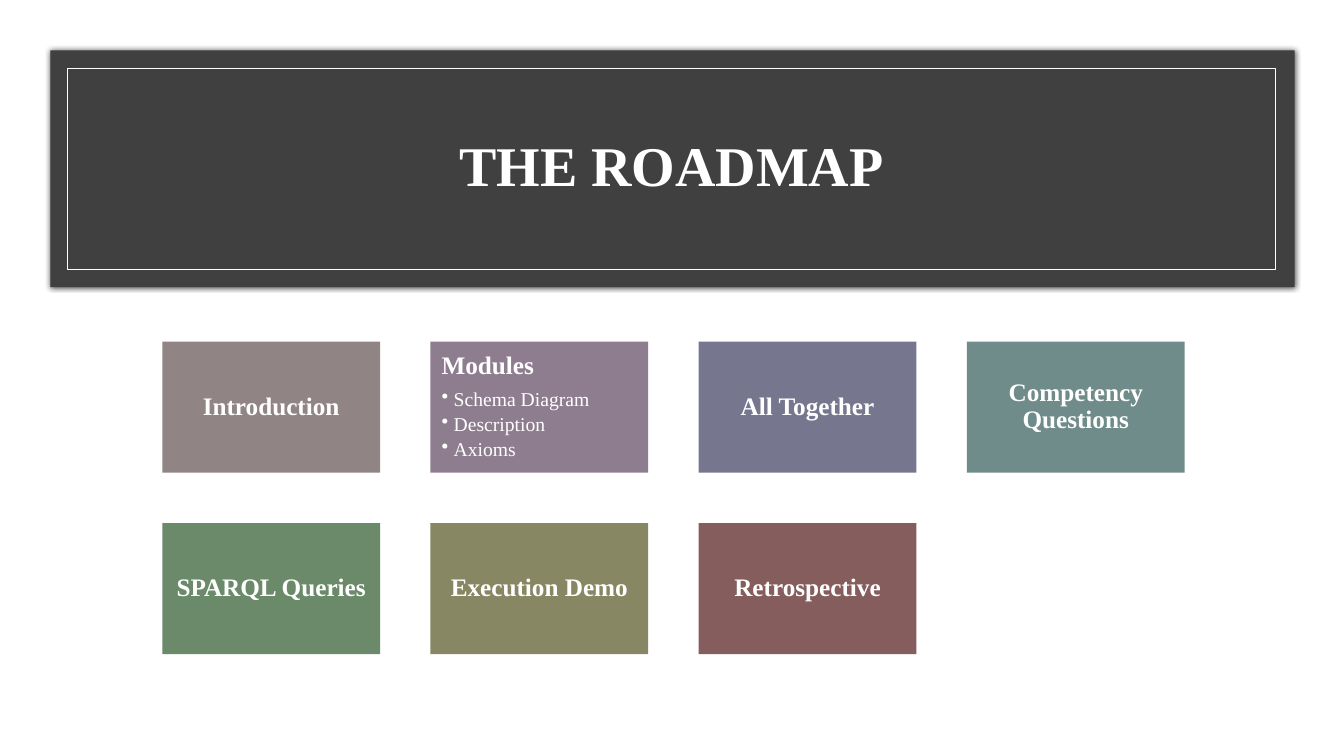
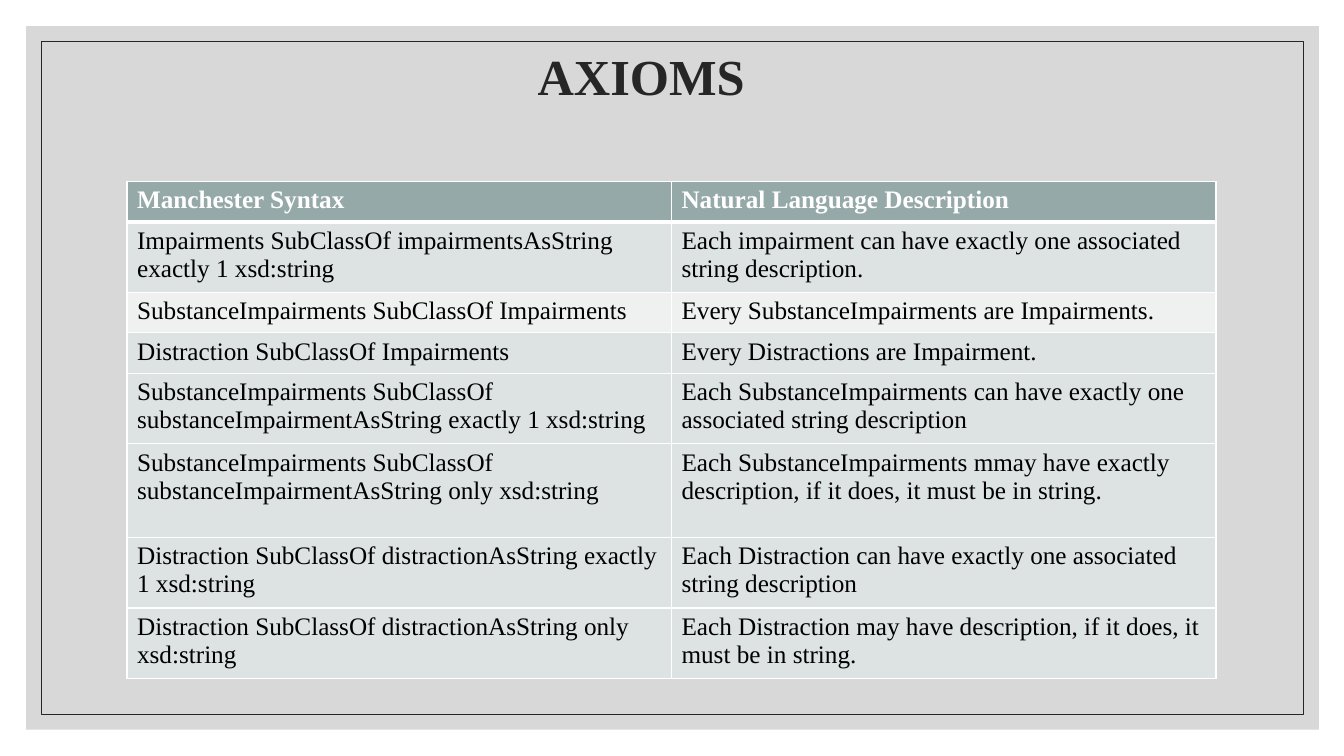
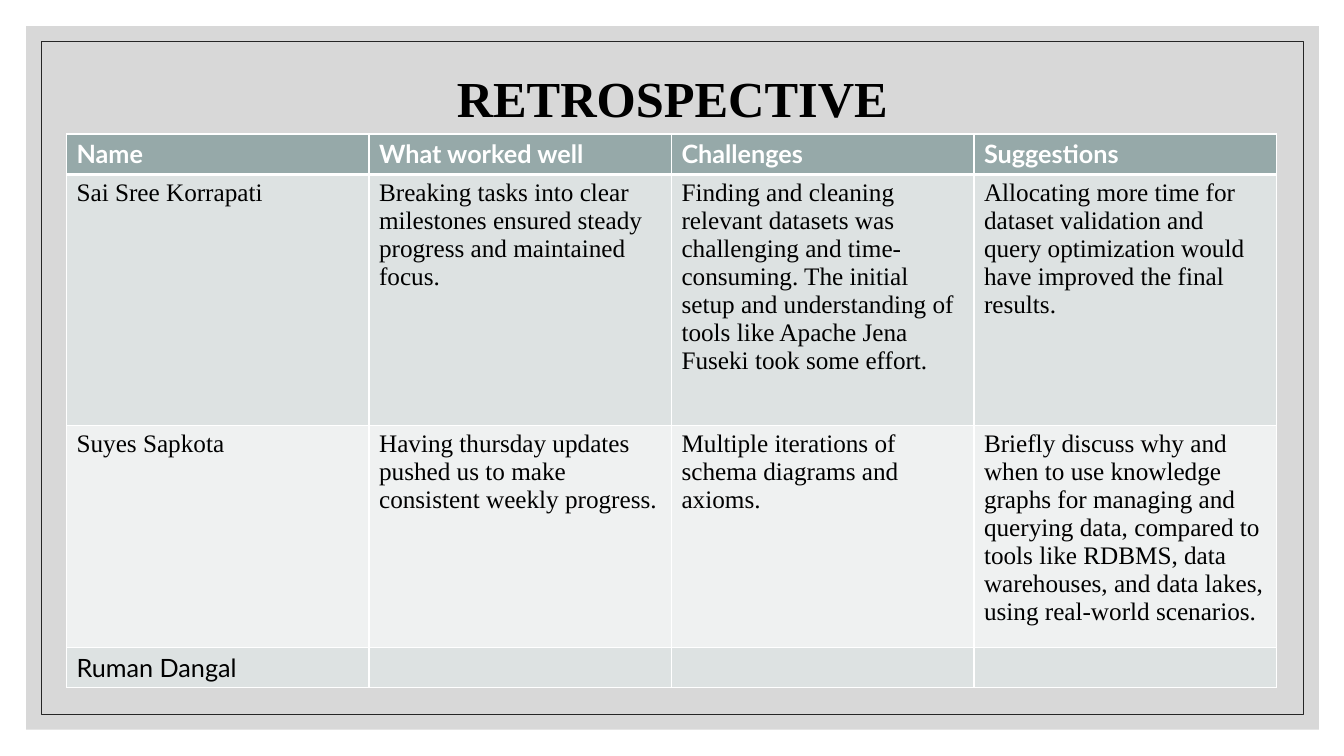
import dataclasses

import lxml.etree
import pptx
import pptx.dml.color
import pptx.enum.shapes
import pptx.enum.text
import pptx.oxml.ns
import pptx.util

EMU_PER_PX = 9144
ALIGN = pptx.enum.text.PP_ALIGN
ANCHOR = pptx.enum.text.MSO_ANCHOR


@dataclasses.dataclass(frozen=True)
class Theme:
    white: str = "FFFFFF"
    black: str = "000000"
    ink: str = "262626"
    panel: str = "404040"
    backdrop: str = "BFBFBF"
    header: str = "96A9A9"
    band: str = "DDE2E2"
    light_band: str = "EFF1F1"
    serif: str = "Times New Roman"
    sans: str = "Lato"
    hero_size: int = 40
    title_size: int = 36
    body_size: int = 18
    bullet_size: int = 14
    hairline: float = 0.5
    cell_line: float = 0.96
    header_line: float = 3


THEME = Theme()

ROADMAP = [
    ("Introduction", "918485", []),
    ("Modules", "8E7D8F", ["Schema Diagram", "Description", "Axioms"]),
    ("All Together", "76778E", []),
    ("Competency Questions", "6F8C8B", []),
    ("SPARQL Queries", "6A8A69", []),
    ("Execution Demo", "888763", []),
    ("Retrospective", "855D5D", []),
]

AXIOMS = [
    ("Manchester Syntax", "Natural Language Description"),
    ("Impairments SubClassOf impairmentsAsString exactly 1 xsd:string",
     "Each impairment can have exactly one associated string description."),
    ("SubstanceImpairments SubClassOf Impairments",
     "Every SubstanceImpairments are Impairments."),
    ("Distraction SubClassOf Impairments",
     "Every Distractions are Impairment."),
    ("SubstanceImpairments SubClassOf substanceImpairmentAsString exactly 1 xsd:string",
     "Each SubstanceImpairments can have exactly one associated string description"),
    ("SubstanceImpairments SubClassOf substanceImpairmentAsString only xsd:string",
     "Each SubstanceImpairments mmay have exactly description, if it does, it must be in string."),
    ("Distraction SubClassOf distractionAsString exactly 1 xsd:string",
     "Each Distraction can have exactly one associated string description"),
    ("Distraction SubClassOf distractionAsString only xsd:string",
     "Each Distraction may have description, if it does, it must be in string."),
]

REFLECTIONS = [
    ("Name", "What worked well", "Challenges", "Suggestions"),
    ("Sai Sree Korrapati",
     "Breaking tasks into clear milestones ensured steady progress and maintained focus.",
     "Finding and cleaning relevant datasets was challenging and time-consuming. "
     "The initial setup and understanding of tools like Apache Jena Fuseki took some effort.",
     "Allocating more time for dataset validation and query optimization "
     "would have improved the final results."),
    ("Suyes Sapkota",
     "Having thursday updates pushed us to make consistent weekly progress.",
     "Multiple iterations of schema diagrams and axioms.",
     "Briefly discuss why and when to use knowledge graphs for managing and querying data, "
     "compared to tools like RDBMS, data warehouses, and data lakes, using real-world scenarios."),
    ("Ruman Dangal", "", "", ""),
]


def px(length):
    return pptx.util.Emu(length * EMU_PER_PX)


def rgb(color):
    return pptx.dml.color.RGBColor.from_string(color)


def add_xml(parent, tag, **attributes):
    child = lxml.etree.SubElement(parent, pptx.oxml.ns.qn(tag))
    for key, value in attributes.items():
        child.set(key, str(value))
    return child


def apply_format(target, values):
    for key, value in values.items():
        setattr(target, key, value)


def write(paragraph, text, size, color, bold=False, face=THEME.serif, **layout):
    apply_format(paragraph, layout)
    font = paragraph.font
    if text:
        run = paragraph.add_run()
        run.text = text
        font = run.font
    apply_format(font, {"size": pptx.util.Pt(size), "name": face, "bold": bold})
    font.color.rgb = rgb(color)


def add_bullet(paragraph, indent):
    properties = paragraph._p.get_or_add_pPr()
    properties.set("marL", str(px(indent)))
    properties.set("indent", str(-px(indent)))
    add_xml(properties, "a:buChar", char="•")


def add_box(slide, left, top, width, height, fill=None, line=None):
    box = slide.shapes.add_shape(
        pptx.enum.shapes.MSO_SHAPE.RECTANGLE, px(left), px(top), px(width), px(height))
    box.shadow.inherit = False
    if fill:
        box.fill.solid()
        box.fill.fore_color.rgb = rgb(fill)
    else:
        box.fill.background()
    if line:
        box.line.color.rgb = rgb(line)
        box.line.width = pptx.util.Pt(THEME.hairline)
    else:
        box.line.fill.background()
    return box


def add_title(slide, text, left, top, width, height, size, color):
    title = slide.shapes.add_textbox(px(left), px(top), px(width), px(height))
    apply_format(title.text_frame, {"word_wrap": True, "vertical_anchor": ANCHOR.MIDDLE})
    write(title.text_frame.paragraphs[0], text, size, color, bold=True,
          alignment=ALIGN.CENTER, line_spacing=0.9)


def add_title_panel(slide):
    panel = add_box(slide, 50, 50, 1234, 235, fill=THEME.panel)
    effects = panel._element.spPr.find(pptx.oxml.ns.qn("a:effectLst"))
    shadow = add_xml(effects, "a:outerShdw", blurRad=pptx.util.Pt(4), dist=0, dir=0,
                     algn="ctr", rotWithShape=0)
    add_xml(add_xml(shadow, "a:srgbClr", val=THEME.black), "a:alpha", val=66000)
    add_box(slide, 67, 68, 1198, 199, line=THEME.white)


def add_backdrop(slide):
    backdrop = add_box(slide, 26, 26, 1282, 698, fill=THEME.backdrop)
    tint = backdrop._element.spPr.find(".//" + pptx.oxml.ns.qn("a:srgbClr"))
    add_xml(tint, "a:alpha", val=60000)
    add_box(slide, 41, 41, 1252, 668, line=THEME.ink)


def add_card(slide, left, top, width, height, heading, color, topics):
    frame = add_box(slide, left, top, width, height, fill=color).text_frame
    margins = {f"margin_{side}": px(11) for side in ("left", "top", "right", "bottom")}
    anchor = ANCHOR.TOP if topics else ANCHOR.MIDDLE
    apply_format(frame, {"word_wrap": True, "vertical_anchor": anchor, **margins})
    write(frame.paragraphs[0], heading, THEME.body_size, THEME.white, bold=True,
          alignment=ALIGN.LEFT if topics else ALIGN.CENTER,
          line_spacing=0.9, space_after=pptx.util.Pt(7))
    for topic in topics:
        paragraph = frame.add_paragraph()
        add_bullet(paragraph, 12)
        write(paragraph, topic, THEME.bullet_size, THEME.white, level=1,
              alignment=ALIGN.LEFT, line_spacing=0.9, space_after=pptx.util.Pt(2.5))


def style_cell(cell, fill, top_line, bottom_line):
    properties = cell._tc.get_or_add_tcPr()
    widths = {"L": THEME.cell_line, "R": THEME.cell_line, "T": top_line, "B": bottom_line}
    for side, width in widths.items():
        border = add_xml(properties, f"a:ln{side}", w=int(pptx.util.Pt(width)))
        add_xml(add_xml(border, "a:solidFill"), "a:srgbClr", val=THEME.white)
    cell.fill.solid()
    cell.fill.fore_color.rgb = rgb(fill)


def add_grid(slide, left, top, column_width, row_heights, rows, light_rows, sans_cells=()):
    columns = len(rows[0])
    frame = slide.shapes.add_table(len(rows), columns, px(left), px(top),
                                   px(column_width * columns), px(sum(row_heights)))
    grid = frame.table
    grid.horz_banding = False
    for column in grid.columns:
        column.width = px(column_width)
    for r, (height, texts) in enumerate(zip(row_heights, rows)):
        grid.rows[r].height = px(height)
        header = r == 0
        fill = THEME.header if header else THEME.light_band if r in light_rows else THEME.band
        top_line = THEME.header_line if r == 1 else THEME.cell_line
        bottom_line = THEME.header_line if header else THEME.cell_line
        for c, text in enumerate(texts):
            cell = grid.cell(r, c)
            style_cell(cell, fill, top_line, bottom_line)
            write(cell.text_frame.paragraphs[0], text, THEME.body_size,
                  THEME.white if header else THEME.black, bold=header,
                  face=THEME.sans if (r, c) in sans_cells else THEME.serif)


def build_roadmap(slide):
    add_title_panel(slide)
    add_title(slide, "THE ROADMAP", 116, 92, 1100, 150, THEME.hero_size, THEME.white)
    width, height, gap, per_row = 216, 130, 50, 4
    for index, (heading, color, topics) in enumerate(ROADMAP):
        row, column = divmod(index, per_row)
        add_card(slide, 161 + column * (width + gap), 339 + row * (height + gap),
                 width, height, heading, color, topics)


def build_axioms(slide):
    add_backdrop(slide)
    add_title(slide, "AXIOMS", 86, 15, 1100, 128, THEME.title_size, THEME.ink)
    add_grid(slide, 126, 180, 540, [40, 65, 40, 40, 65, 93, 65, 65], AXIOMS, light_rows={2})


def build_retrospective(slide):
    add_backdrop(slide)
    add_title(slide, "RETROSPECTIVE", 117, 45, 1100, 111, THEME.title_size, THEME.black)
    sans_cells = {(0, column) for column in range(4)} | {(3, 0)}
    add_grid(slide, 66, 133, 300, [40, 249, 203, 40], REFLECTIONS, light_rows={2},
             sans_cells=sans_cells)


def main():
    deck = pptx.Presentation()
    apply_format(deck, {"slide_width": px(1333), "slide_height": px(750)})
    blank = deck.slide_layouts[6]
    for build in (build_roadmap, build_axioms, build_retrospective):
        build(deck.slides.add_slide(blank))
    deck.save("out.pptx")


if __name__ == "__main__":
    main()
